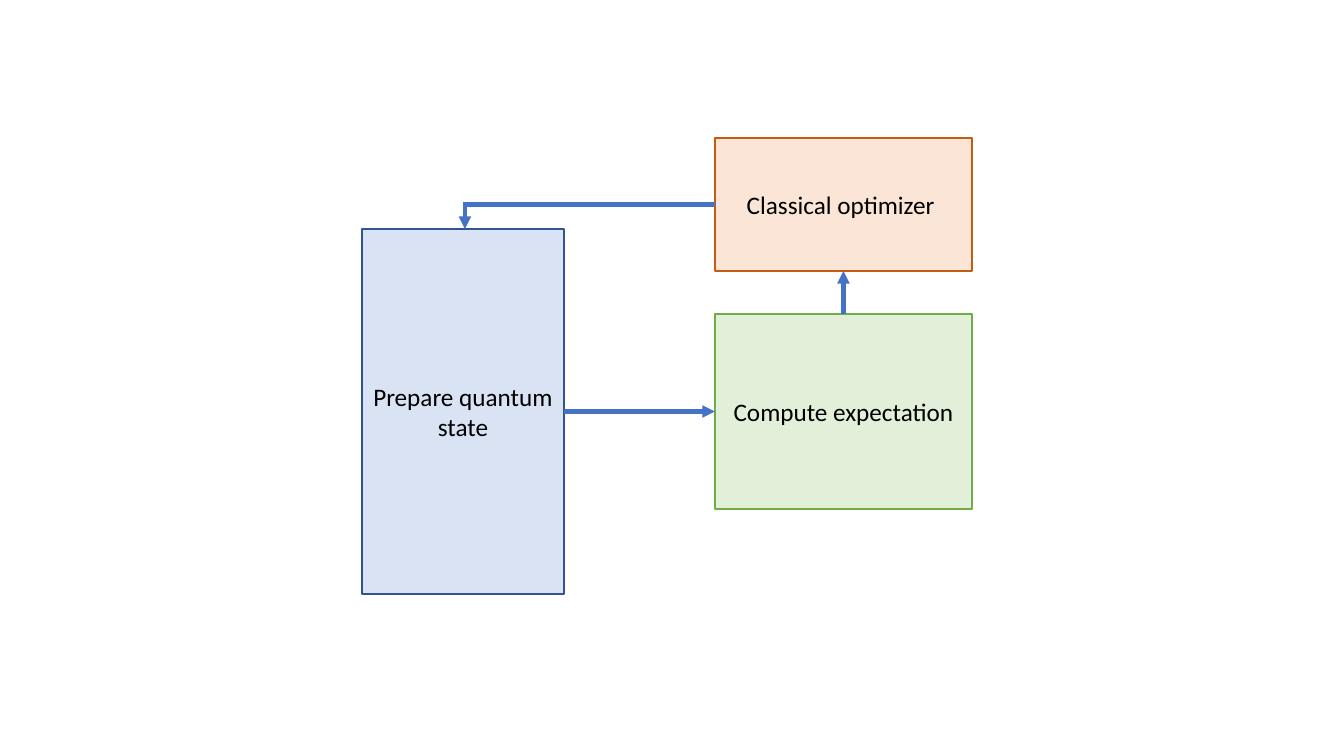
import pptx
import pptx.dml.color
import pptx.enum.shapes
import pptx.enum.text
import pptx.oxml.ns
import pptx.util
from lxml import etree

# Content: name -> text, (left, top, width, height) in px, fill, outline
BOXES = {
    "prepare": ("Prepare quantum state", (362, 229, 202, 365), "DAE3F3", "325491"),
    "compute": ("Compute expectation", (715, 314, 257, 195), "E2F0D9", "70AD47"),
    "optimize": ("Classical optimizer ", (715, 138, 257, 133), "FBE5D6", "C55A11"),
}
TOP, LEFT, BOTTOM, RIGHT = range(4)
# Straight arrows: (from box, side), (to box, side)
ARROWS = [
    (("prepare", RIGHT), ("compute", LEFT)),
    (("compute", TOP), ("optimize", BOTTOM)),
]
RETURN_ARROW_X = 465

THEME = {
    "font": "Calibri", "size": 18, "text": "000000",
    "arrow": "4472C4", "arrow_width": 3, "outline_width": 1,
}
SLIDE_SIZE = (1344, 756)
PX_PER_INCH = 100.8


def px(length):
    return pptx.util.Inches(length / PX_PER_INCH)


def color(value):
    return pptx.dml.color.RGBColor.from_string(value)


def add_box(slide, text, bounds, fill, outline):
    shape = slide.shapes.add_shape(
        pptx.enum.shapes.MSO_SHAPE.RECTANGLE, *map(px, bounds))
    shape.shadow.inherit = False
    shape.fill.solid()
    shape.fill.fore_color.rgb = color(fill)
    shape.line.color.rgb = color(outline)
    shape.line.width = pptx.util.Pt(THEME["outline_width"])
    text_frame = shape.text_frame
    text_frame.word_wrap = True
    text_frame.vertical_anchor = pptx.enum.text.MSO_ANCHOR.MIDDLE
    text_frame.text = text
    paragraph = text_frame.paragraphs[0]
    paragraph.alignment = pptx.enum.text.PP_ALIGN.CENTER
    font = paragraph.runs[0].font
    font.name = THEME["font"]
    font.size = pptx.util.Pt(THEME["size"])
    font.color.rgb = color(THEME["text"])
    return shape


def side_point(name, side):
    left, top, width, height = BOXES[name][1]
    return {
        TOP: (left + width / 2, top),
        LEFT: (left, top + height / 2),
        BOTTOM: (left + width / 2, top + height),
        RIGHT: (left + width, top + height / 2),
    }[side]


def add_line(slide, start, end, arrowhead=True):
    connector = slide.shapes.add_connector(
        pptx.enum.shapes.MSO_CONNECTOR.STRAIGHT, *map(px, (*start, *end)))
    connector.line.color.rgb = color(THEME["arrow"])
    connector.line.width = pptx.util.Pt(THEME["arrow_width"])
    if arrowhead:
        line = connector.line._get_or_add_ln()
        etree.SubElement(line, pptx.oxml.ns.qn("a:tailEnd"), type="triangle")
    etree.SubElement(connector._element.spPr, pptx.oxml.ns.qn("a:effectLst"))
    return connector


def main():
    presentation = pptx.Presentation()
    presentation.slide_width, presentation.slide_height = map(px, SLIDE_SIZE)
    slide = presentation.slides.add_slide(presentation.slide_layouts[6])

    # Boxes
    shapes = {name: add_box(slide, *box) for name, box in BOXES.items()}

    # Arrows between facing sides
    for start, end in ARROWS:
        connector = add_line(slide, side_point(*start), side_point(*end))
        connector.begin_connect(shapes[start[0]], start[1])
        connector.end_connect(shapes[end[0]], end[1])

    # Return path from the optimizer to the state preparation
    optimizer_side = side_point("optimize", LEFT)
    prepare_x, prepare_top = side_point("prepare", TOP)
    return_y = optimizer_side[1]
    add_line(slide, (RETURN_ARROW_X, return_y), (RETURN_ARROW_X, prepare_top))
    connector = add_line(slide, optimizer_side, (prepare_x, return_y), arrowhead=False)
    connector.begin_connect(shapes["optimize"], LEFT)

    presentation.save("out.pptx")


if __name__ == "__main__":
    main()
